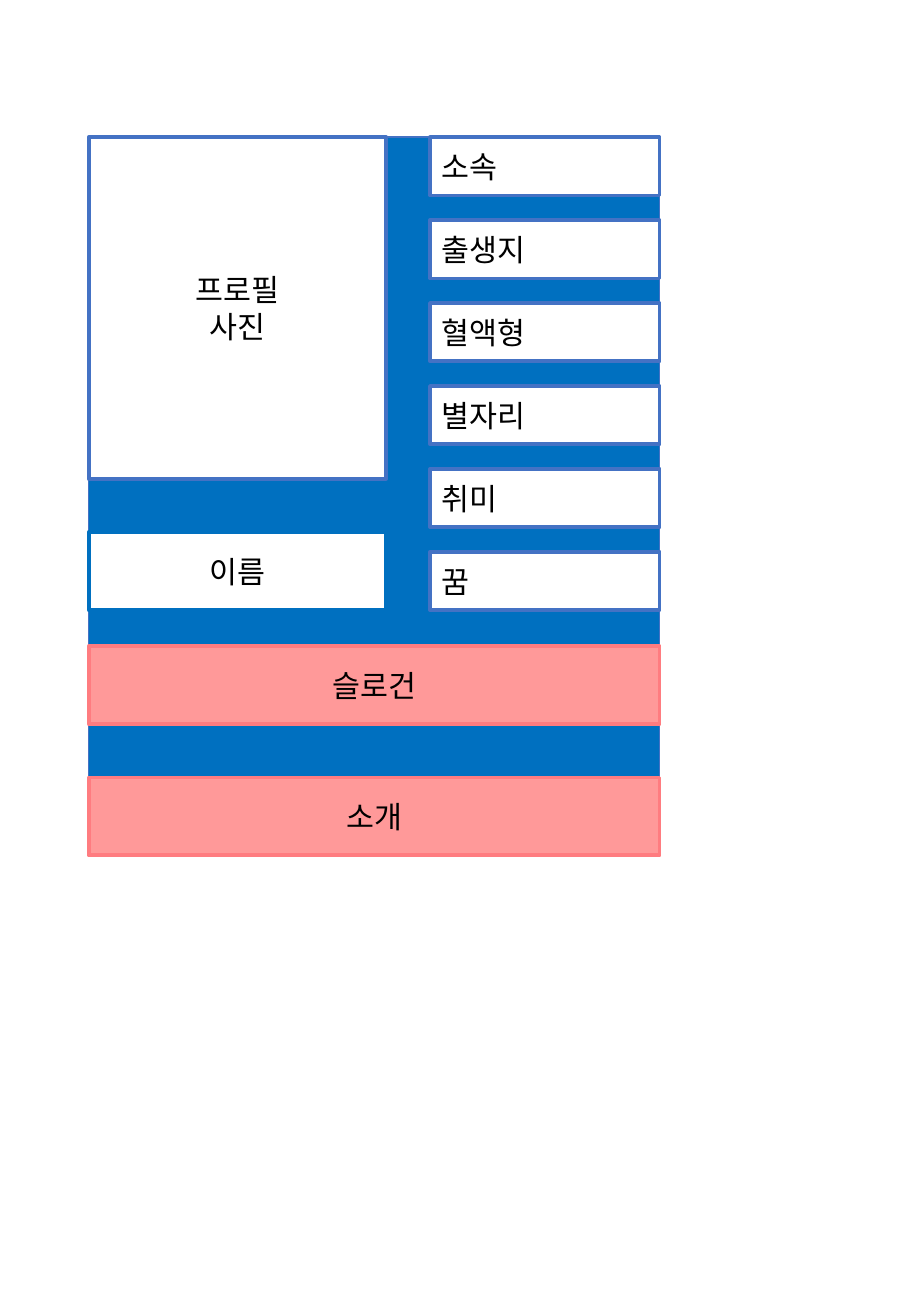
from pptx import Presentation
from pptx.dml.color import RGBColor
from pptx.enum.shapes import MSO_SHAPE as Shape
from pptx.enum.text import MSO_ANCHOR as Anchor, PP_ALIGN as Align
from pptx.util import Inches, Pt

WHITE = RGBColor(0xFF, 0xFF, 0xFF)
BLACK = RGBColor(0x00, 0x00, 0x00)
BLUE = RGBColor(0x00, 0x70, 0xC0)
OUTLINE_BLUE = RGBColor(0x44, 0x72, 0xC4)
PINK = RGBColor(0xFF, 0x99, 0x99)
OUTLINE_PINK = RGBColor(0xFF, 0x7C, 0x80)

# Lengths are percent of the slide's width or height.
LEFT, TOP = 9.73, 10.43
CARD_WIDTH, CARD_HEIGHT = 62.67, 54.57
PHOTO_WIDTH, PHOTO_HEIGHT = 32.67, 25.95
BAND_HEIGHT = 5.91
SLOGAN_TOP = 49.12
FACT_WIDTH, FACT_HEIGHT, FACT_PITCH = 25.2, 4.43, 6.3
FACTS = ["소속", "출생지", "혈액형", "별자리", "취미", "꿈"]


class ProfilePage:
    font_name = "Calibri"
    font_size = Pt(18)

    def __init__(self, deck):
        self.width, self.height = deck.slide_width, deck.slide_height
        self.page = deck.slides.add_slide(deck.slide_layouts[6])

    def panel(self, left, top, width, height, fill, outline, weight):
        box = self.page.shapes.add_shape(
            Shape.RECTANGLE,
            round(self.width * left / 100),
            round(self.height * top / 100),
            round(self.width * width / 100),
            round(self.height * height / 100),
        )
        box.shadow.inherit = False
        box.fill.solid()
        box.fill.fore_color.rgb = fill
        box.line.color.rgb = outline
        box.line.width = Pt(weight)
        return box

    def field(self, text, left, top, width, height,
              fill=WHITE, outline=OUTLINE_BLUE, align=Align.CENTER):
        box = self.panel(left, top, width, height, fill, outline, 2.25)
        frame = box.text_frame
        frame.word_wrap = True
        frame.vertical_anchor = Anchor.MIDDLE
        frame.text = text
        for para in frame.paragraphs:
            para.alignment = align
            para.font.name = self.font_name
            para.font.size = self.font_size
            para.font.color.rgb = BLACK

    def band(self, text, top):
        self.field(text, LEFT, top, CARD_WIDTH, BAND_HEIGHT, PINK, OUTLINE_PINK)


deck = Presentation()
deck.slide_width, deck.slide_height = Inches(7.5), Inches(10.83)
profile = ProfilePage(deck)

profile.panel(LEFT, TOP, CARD_WIDTH, CARD_HEIGHT, BLUE, OUTLINE_BLUE, 1)
profile.field("프로필\n사진", LEFT, TOP, PHOTO_WIDTH, PHOTO_HEIGHT)
profile.band("슬로건", SLOGAN_TOP)
profile.band("소개", TOP + CARD_HEIGHT - BAND_HEIGHT)

facts_bottom = TOP + FACT_PITCH * (len(FACTS) - 1) + FACT_HEIGHT
profile.field("이름", LEFT, facts_bottom - BAND_HEIGHT, PHOTO_WIDTH, BAND_HEIGHT,
              outline=BLUE)

fact_left = LEFT + CARD_WIDTH - FACT_WIDTH
for row, fact in enumerate(FACTS):
    profile.field(fact, fact_left, TOP + FACT_PITCH * row, FACT_WIDTH, FACT_HEIGHT,
                  align=Align.LEFT)

deck.save("out.pptx")
